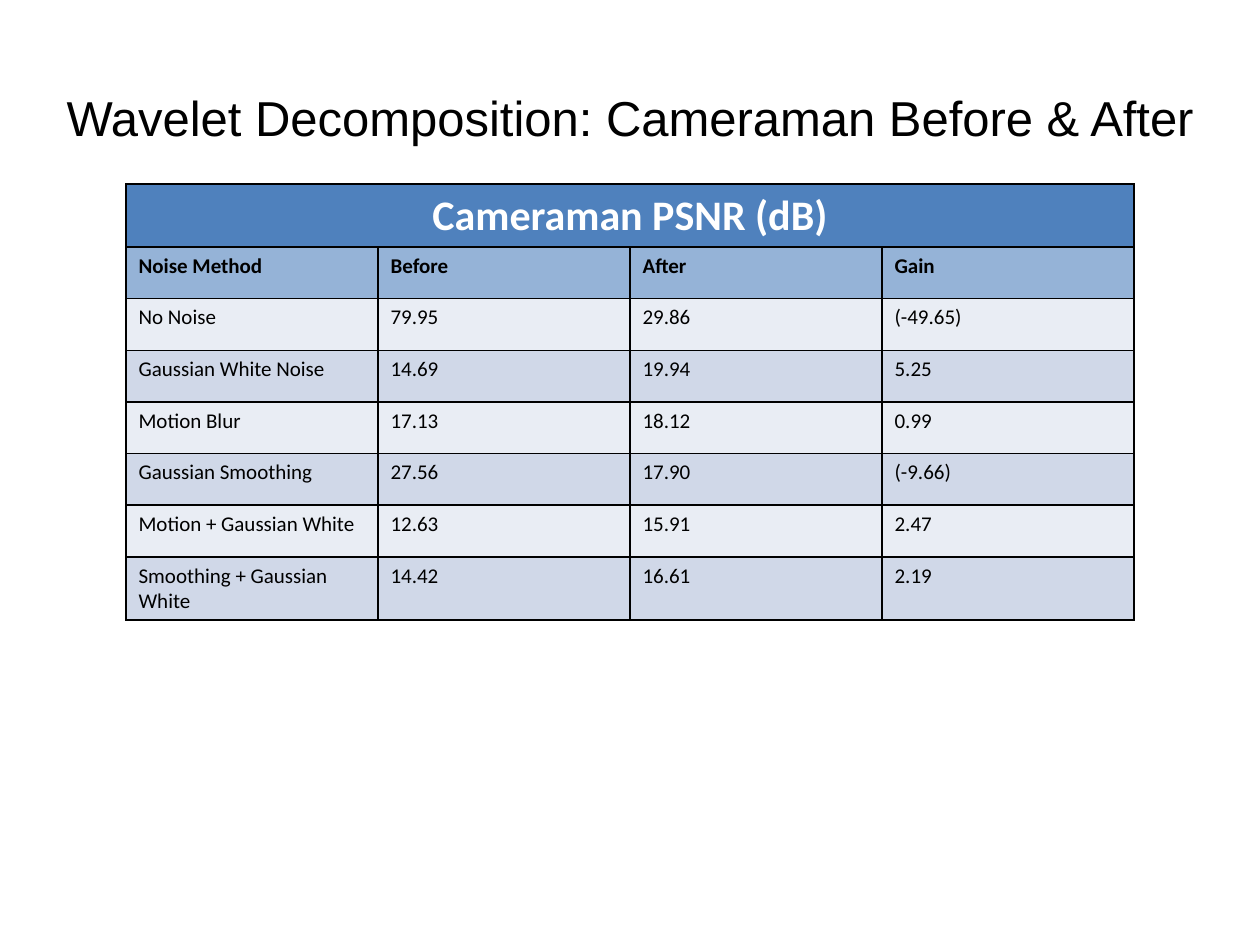
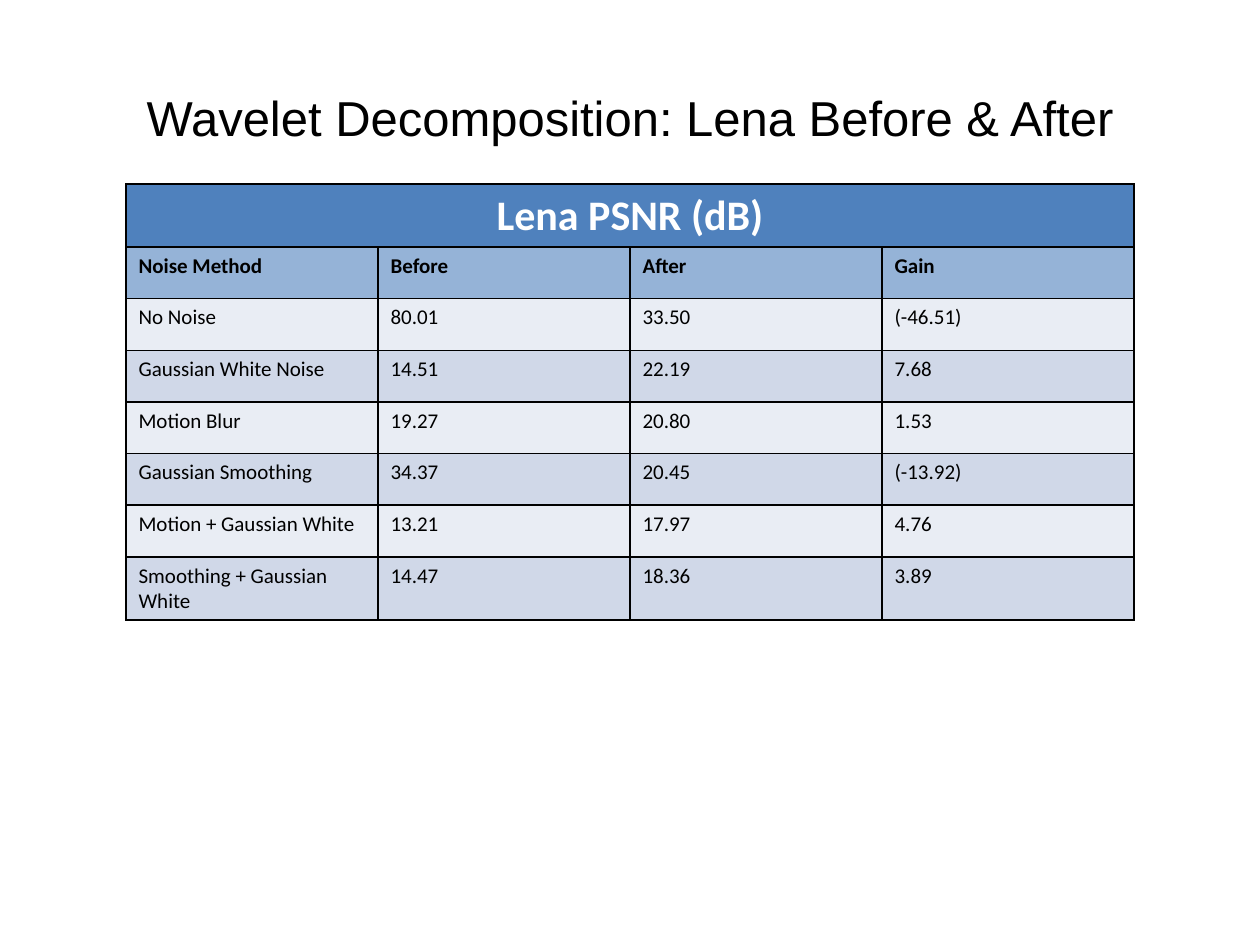
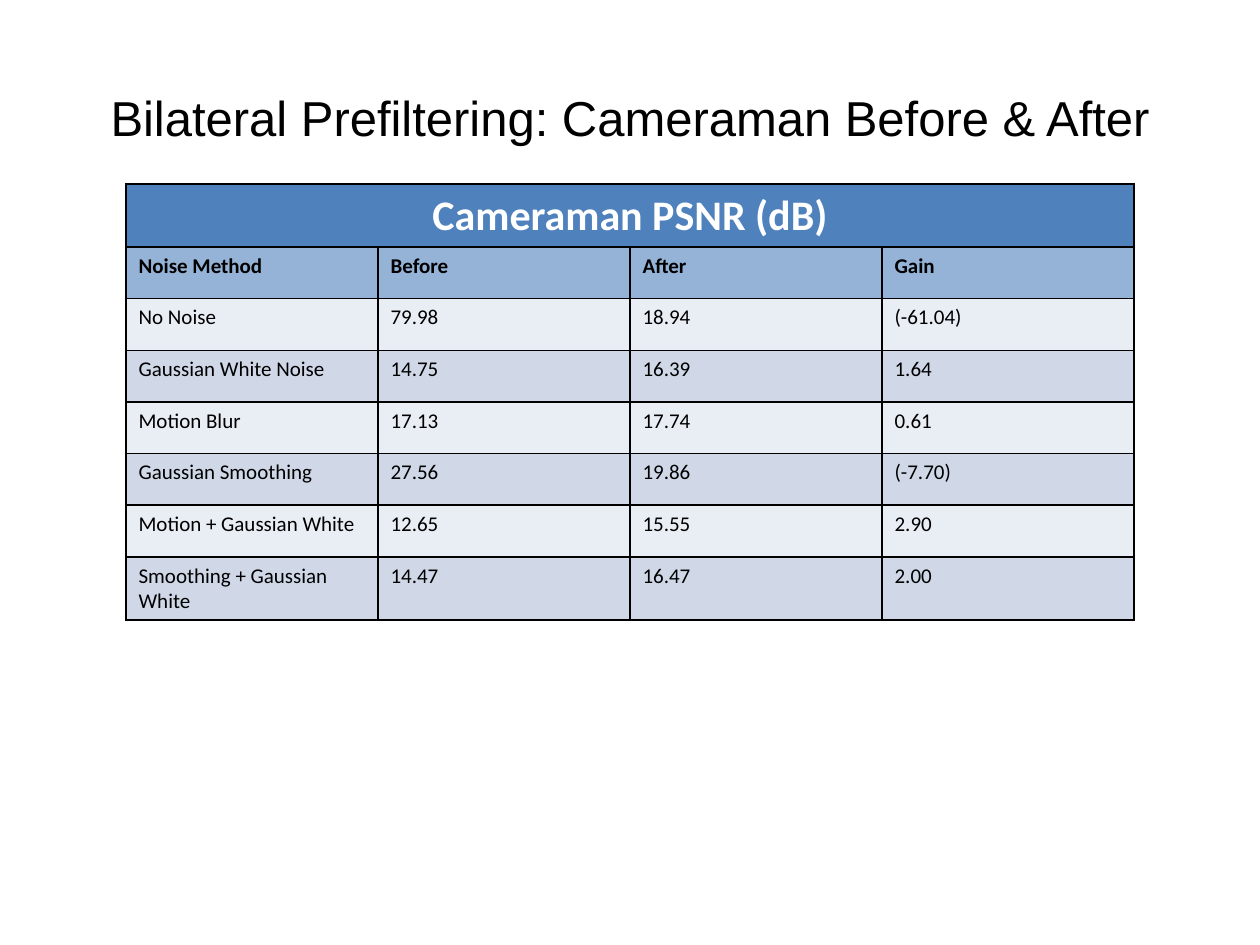
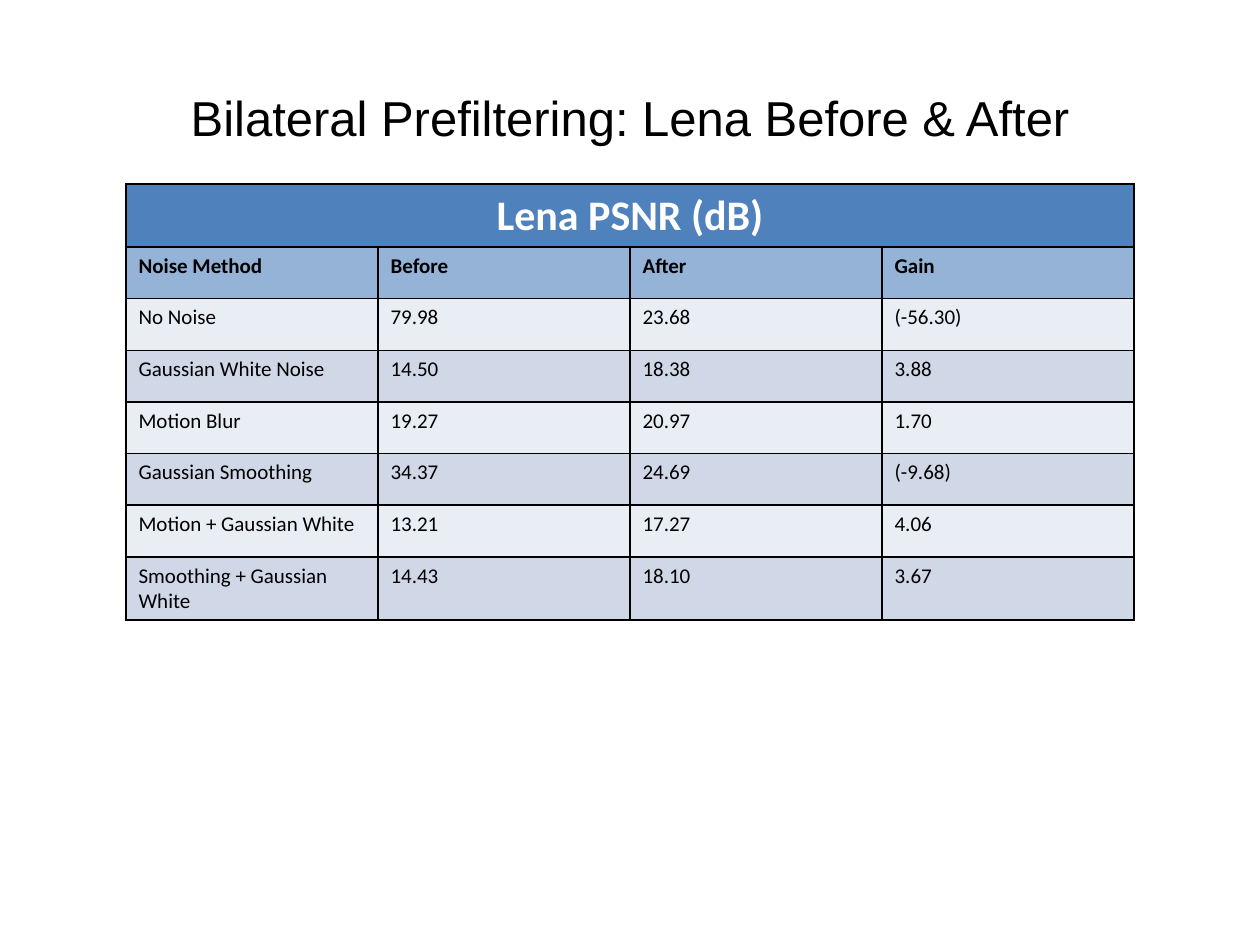
import lxml.etree
import pptx
import pptx.dml.color
import pptx.enum.text
import pptx.oxml.ns
import pptx.util

Inches = pptx.util.Inches
Pt = pptx.util.Pt
ALIGN = pptx.enum.text.PP_ALIGN

COLORS = {
    "ink": "000000",
    "white": "FFFFFF",
    "banner": "4F81BD",
    "heading": "95B3D7",
    "light_band": "E9EDF4",
    "dark_band": "D0D8E8",
}

# Text formats shared by all slides
TITLE = {"name": "Arial", "size": Pt(28), "bold": False, "color": "ink"}
BANNER = {"name": "Calibri", "size": Pt(24), "bold": True, "color": "white"}
HEADING = {"name": "Calibri", "size": Pt(12), "bold": True, "color": "ink"}
BODY = {**HEADING, "bold": False}

HEADINGS = ["Noise Method", "Before", "After", "Gain"]
METHODS = [
    "No Noise",
    "Gaussian White Noise",
    "Motion Blur",
    "Gaussian Smoothing",
    "Motion + Gaussian White",
    "Smoothing + Gaussian White",
]

# Technique, test image, then before / after / gain for each noise method
RESULTS = [
    ("Wavelet Decomposition", "Cameraman", [
        ("79.95", "29.86", "(-49.65)"),
        ("14.69", "19.94", "5.25"),
        ("17.13", "18.12", "0.99"),
        ("27.56", "17.90", "(-9.66)"),
        ("12.63", "15.91", "2.47"),
        ("14.42", "16.61", "2.19"),
    ]),
    ("Wavelet Decomposition", "Lena", [
        ("80.01", "33.50", "(-46.51)"),
        ("14.51", "22.19", "7.68"),
        ("19.27", "20.80", "1.53"),
        ("34.37", "20.45", "(-13.92)"),
        ("13.21", "17.97", "4.76"),
        ("14.47", "18.36", "3.89"),
    ]),
    ("Bilateral Prefiltering", "Cameraman", [
        ("79.98", "18.94", "(-61.04)"),
        ("14.75", "16.39", "1.64"),
        ("17.13", "17.74", "0.61"),
        ("27.56", "19.86", "(-7.70)"),
        ("12.65", "15.55", "2.90"),
        ("14.47", "16.47", "2.00"),
    ]),
    ("Bilateral Prefiltering", "Lena", [
        ("79.98", "23.68", "(-56.30)"),
        ("14.50", "18.38", "3.88"),
        ("19.27", "20.97", "1.70"),
        ("34.37", "24.69", "(-9.68)"),
        ("13.21", "17.27", "4.06"),
        ("14.43", "18.10", "3.67"),
    ]),
]


def write(frame, text, style, align=ALIGN.LEFT):
    """Put one formatted paragraph into a text frame."""
    para = frame.paragraphs[0]
    para.alignment = align
    span = para.add_run()
    span.text = text
    for key, value in style.items():
        if key == "color":
            span.font.color.rgb = pptx.dml.color.RGBColor.from_string(COLORS[value])
        else:
            setattr(span.font, key, value)


def paint_cell(cell, fill):
    """Give a cell thin borders on four sides and a solid fill."""
    properties = cell._tc.get_or_add_tcPr()
    qn = pptx.oxml.ns.qn
    for side in ("a:lnL", "a:lnR", "a:lnT", "a:lnB"):
        line = lxml.etree.SubElement(properties, qn(side), w=str(Pt(1)))
        solid = lxml.etree.SubElement(line, qn("a:solidFill"))
        lxml.etree.SubElement(solid, qn("a:srgbClr"), val=COLORS["ink"])
    cell.fill.solid()
    cell.fill.fore_color.rgb = pptx.dml.color.RGBColor.from_string(COLORS[fill])


deck = pptx.Presentation()
deck.slide_width = Inches(10)
deck.slide_height = Inches(7.5)

for technique, subject, values in RESULTS:
    page = deck.slides.add_slide(deck.slide_layouts[6])

    # Title
    box = page.shapes.add_textbox(Inches(0), Inches(0.3), Inches(10), Inches(1.25))
    box.text_frame.word_wrap = True
    box.text_frame.vertical_anchor = pptx.enum.text.MSO_ANCHOR.MIDDLE
    write(box.text_frame, f"{technique}: {subject} Before & After", TITLE, ALIGN.CENTER)

    # Table grid
    row_count = len(METHODS) + 2
    row_height = Inches(0.41)
    table = page.shapes.add_table(
        row_count, len(HEADINGS), Inches(1), Inches(1.46), Inches(8), row_height * row_count
    ).table
    for row in table.rows:
        row.height = row_height

    # Banner across all columns
    for cell in table.rows[0].cells:
        paint_cell(cell, "banner")
    table.cell(0, 0).merge(table.cell(0, len(HEADINGS) - 1))
    write(table.cell(0, 0).text_frame, f"{subject} PSNR (dB)", BANNER, ALIGN.CENTER)

    # Headings, then one banded row for each noise method
    lines = [HEADINGS] + [(method, *numbers) for method, numbers in zip(METHODS, values)]
    for index, texts in enumerate(lines):
        if index == 0:
            fill, style = "heading", HEADING
        else:
            fill, style = ("light_band" if index % 2 else "dark_band"), BODY
        for cell, text in zip(table.rows[index + 1].cells, texts):
            paint_cell(cell, fill)
            write(cell.text_frame, text, style)

deck.save("out.pptx")
